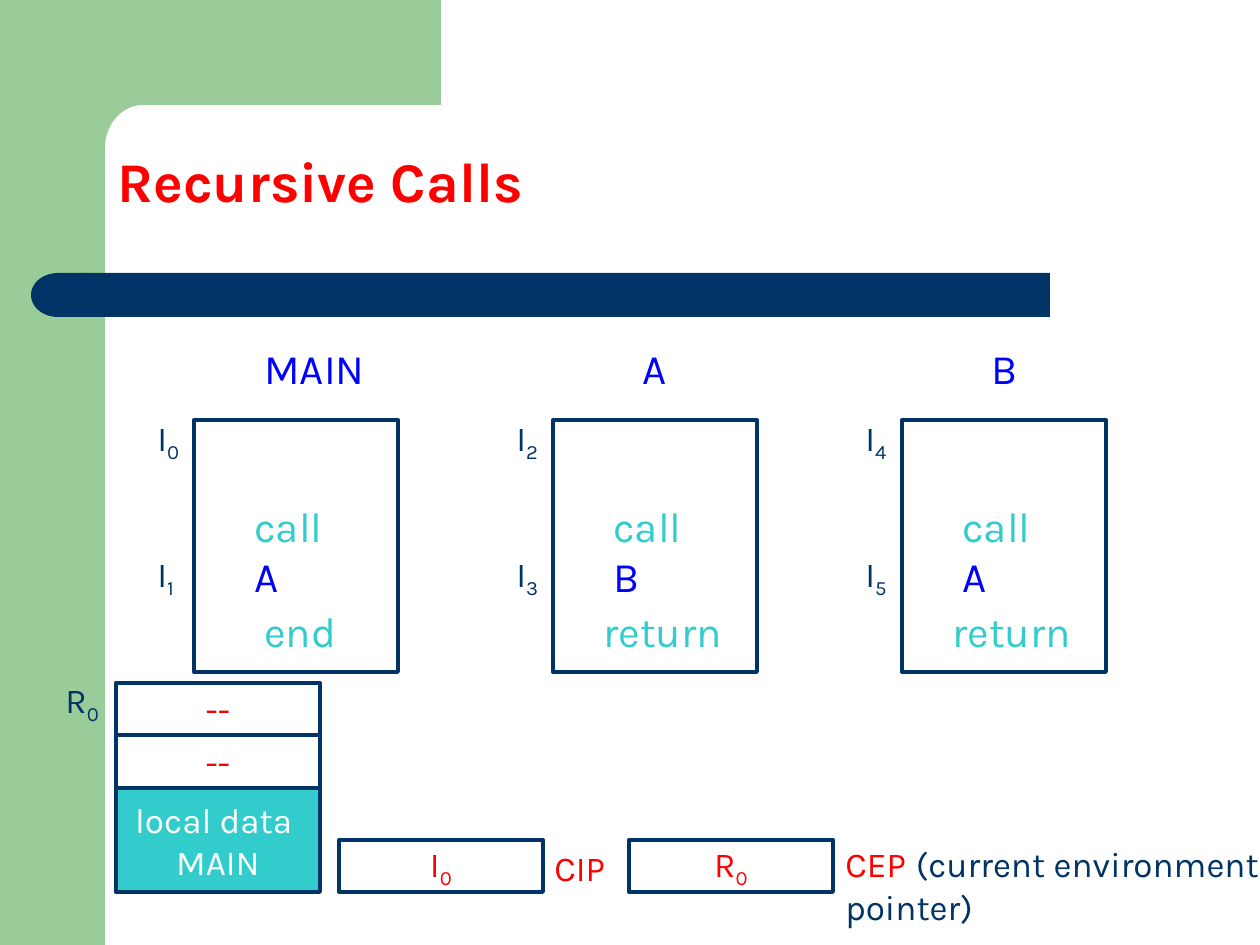
"""Build the slide on recursive calls with its code segments and activation record."""
import math
from dataclasses import dataclass

from pptx import Presentation, util as u
from pptx.dml.color import RGBColor
from pptx.enum import shapes as s, text as t

PX = 914400 / 126
FONT = "Karla"
COLORS = {
    "navy": "003366",
    "green": "99CC99",
    "teal": "33CCCC",
    "blue": "0000FF",
    "red": "FF0000",
    "white": "FFFFFF",
}


@dataclass(frozen=True)
class Span:
    words: str
    color: str
    size: int | None = None
    subscript: bool = False


@dataclass(frozen=True)
class Routine:
    name: str
    left: int
    name_offset: int
    name_width: int
    first: str
    resume: str
    callee: str
    ending: str
    ending_offset: int
    ending_width: int


@dataclass(frozen=True)
class Cell:
    left: int
    top: int
    height: int
    lines: tuple[tuple[Span, ...], ...]
    fill: str | None = None


def px(length: float) -> u.Emu:
    return u.Emu(round(length * PX))


def rgb(name: str) -> RGBColor:
    return RGBColor.from_string(COLORS[name])


def indexed(letter: str, index: str, color: str) -> tuple[Span, ...]:
    return Span(letter, color), Span(index, color, subscript=True)


def write(paragraph, spans: tuple[Span, ...], size: int) -> None:
    paragraph.font.name = FONT
    paragraph.font.size = u.Pt(size)
    for span in spans:
        run = paragraph.add_run()
        run.text = span.words
        run.font.color.rgb = rgb(span.color)
        if span.size:
            run.font.size = u.Pt(span.size)
        if span.subscript:
            run.font._element.set("baseline", "-25000")


def paint(shape, fill: str | None, outline: str | None = None) -> None:
    shape.shadow.inherit = False
    if fill:
        shape.fill.solid()
        shape.fill.fore_color.rgb = rgb(fill)
    else:
        shape.fill.background()
    if outline:
        shape.line.color.rgb = rgb(outline)
        shape.line.width = u.Pt(2.24)
    else:
        shape.line.fill.background()


def add_block(slide, kind, left: int, top: int, width: int, height: int,
              fill: str | None, outline: str | None = None):
    block = slide.shapes.add_shape(kind, px(left), px(top), px(width), px(height))
    paint(block, fill, outline)
    return block


def add_label(slide, left: int, top: int, width: int, height: int,
              spans: tuple[Span, ...], size: int) -> None:
    label = slide.shapes.add_textbox(px(left), px(top), px(width), px(height))
    frame = label.text_frame
    frame.word_wrap = True
    frame.auto_size = t.MSO_AUTO_SIZE.SHAPE_TO_FIT_TEXT
    paragraph = frame.paragraphs[0]
    paragraph.space_before = u.Pt(size * 0.625)
    write(paragraph, spans, size)


def add_backdrop(slide) -> None:
    add_block(slide, s.MSO_SHAPE.RECTANGLE, 0, 0, 105, 945, "green")
    bend = [
        (143 - 38 * math.sin(angle), 148 - 43 * math.cos(angle))
        for angle in (math.radians(step) for step in range(0, 91, 5))
    ]
    outline = [(441, 105), *bend, (105, 161), (63, 161), (63, 0)]
    builder = slide.shapes.build_freeform(px(441), 0)
    builder.add_line_segments([(px(x), px(y)) for x, y in outline], close=True)
    paint(builder.convert_to_shape(), "green")
    add_block(slide, s.MSO_SHAPE.RECTANGLE, 84, 273, 966, 44, "navy")
    bar_end = add_block(slide, s.MSO_SHAPE.FLOWCHART_DELAY, 31, 273, 54, 44, "navy")
    bar_end._element.spPr.get_or_add_xfrm().set("flipH", "1")


def add_title(slide, words: str) -> None:
    title = slide.shapes.title
    title.left, title.top, title.width, title.height = map(px, (105, 63, 1092, 158))
    frame = title.text_frame
    frame.auto_size = t.MSO_AUTO_SIZE.NONE
    frame.vertical_anchor = t.MSO_ANCHOR.BOTTOM
    paragraph = frame.paragraphs[0]
    paragraph.alignment = t.PP_ALIGN.LEFT
    paragraph.line_spacing = 0.9
    paragraph.font.bold = True
    write(paragraph, (Span(words, "red"),), 32)


def add_routine(slide, routine: Routine) -> None:
    left = routine.left
    add_block(slide, s.MSO_SHAPE.RECTANGLE, left, 420, 204, 252, None, "navy")
    add_label(slide, left + routine.name_offset, 336, routine.name_width, 63,
              (Span(routine.name, "blue"),), 24)
    add_label(slide, left + 48, 494, 126, 113,
              (Span("call ", "teal"), Span(routine.callee, "blue")), 24)
    add_label(slide, left + routine.ending_offset, 599, routine.ending_width, 63,
              (Span(routine.ending, "teal"),), 24)
    for index, top in ((routine.first, 410), (routine.resume, 546)):
        add_label(slide, left - 49, top, 58, 60, indexed("I", index, "navy"), 20)


def add_cell(slide, cell: Cell) -> None:
    block = add_block(slide, s.MSO_SHAPE.RECTANGLE, cell.left, cell.top, 204,
                      cell.height, cell.fill, "navy")
    frame = block.text_frame
    frame.word_wrap = False
    frame.vertical_anchor = t.MSO_ANCHOR.MIDDLE
    for number, spans in enumerate(cell.lines):
        paragraph = frame.add_paragraph() if number else frame.paragraphs[0]
        paragraph.alignment = t.PP_ALIGN.CENTER
        write(paragraph, spans, 20)


ROUTINES = (
    Routine("MAIN", 194, 58, 157, "0", "1", "A", "end", 58, 105),
    Routine("A", 553, 77, 58, "2", "3", "B", "return", 38, 165),
    Routine("B", 902, 77, 58, "4", "5", "A", "return", 38, 163),
)
UNSET = ((Span("--", "red"),),)
CELLS = (
    Cell(116, 788, 104, ((Span("local data ", "white"),), (Span("MAIN", "white"),)), "teal"),
    Cell(116, 735, 53, UNSET),
    Cell(116, 683, 52, UNSET),
    Cell(339, 840, 52, (indexed("I", "0", "red"),)),
    Cell(629, 840, 52, (indexed("R", "0", "red"),)),
)


def main() -> None:
    deck = Presentation()
    deck.slide_width, deck.slide_height = px(1260), px(945)
    slide = deck.slides.add_slide(deck.slide_layouts[5])
    add_backdrop(slide)
    add_title(slide, "Recursive Calls")
    for routine in ROUTINES:
        add_routine(slide, routine)
    for cell in CELLS:
        add_cell(slide, cell)
    add_label(slide, 53, 672, 63, 60, indexed("R", "0", "navy"), 20)
    add_label(slide, 542, 840, 97, 55, (Span("CIP", "red"),), 20)
    add_label(slide, 833, 829, 459, 106,
              (Span("CEP", "red"), Span(" ", "red", 24),
               Span("(current environment pointer)", "navy")), 20)
    deck.save("out.pptx")


main()
